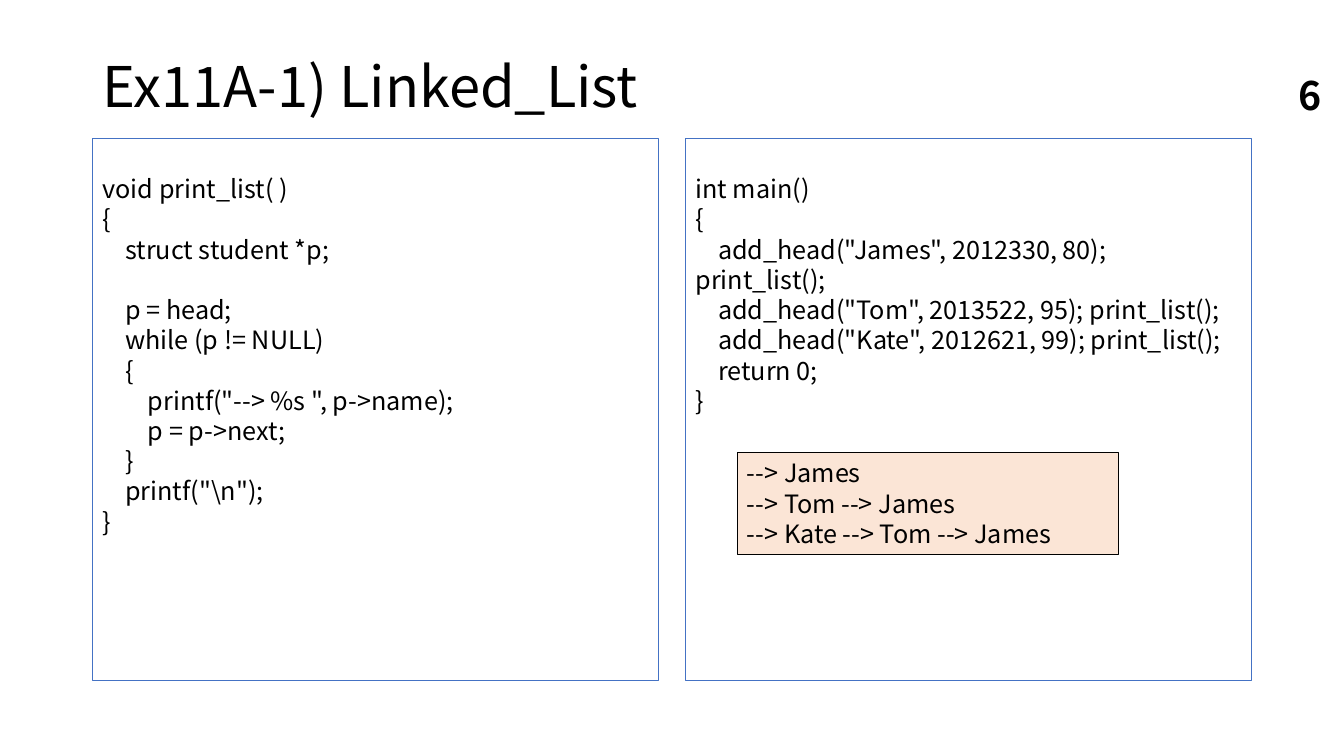
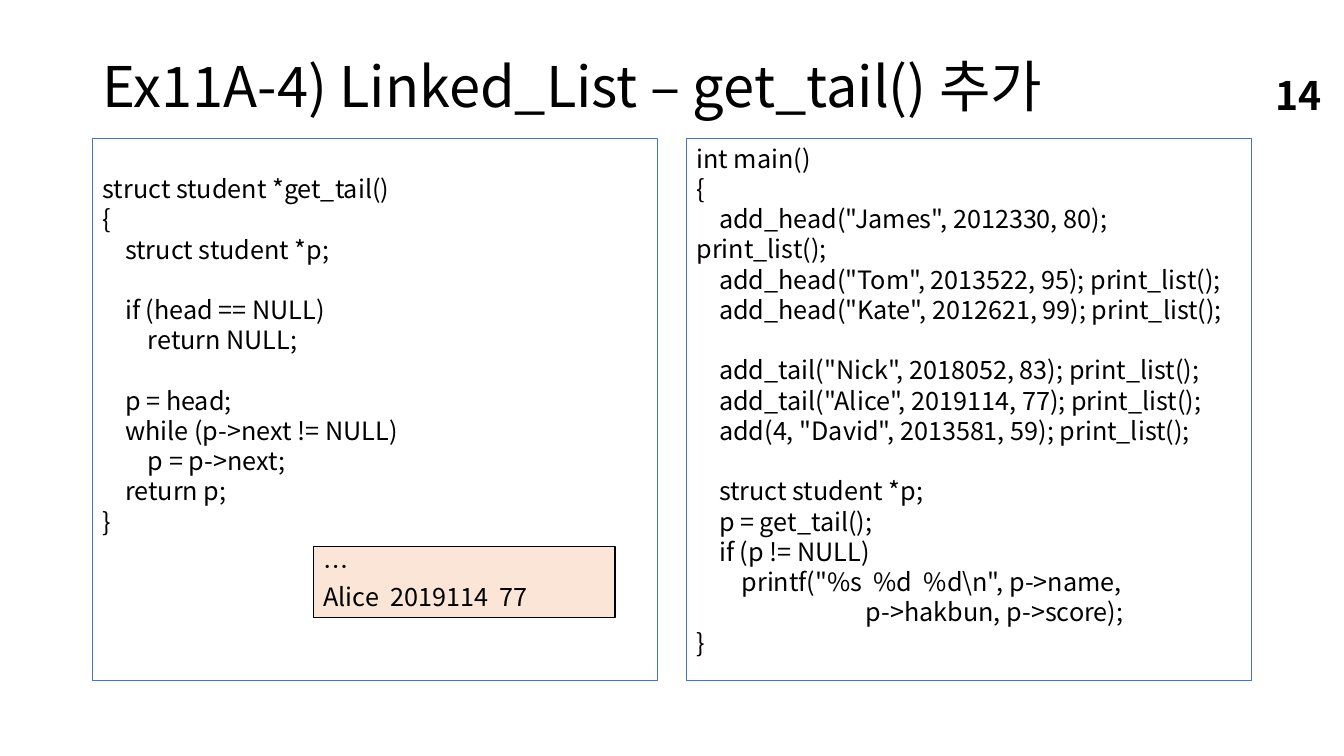
from pptx import Presentation
from pptx.dml.color import RGBColor
from pptx.enum.shapes import MSO_SHAPE
from pptx.enum.text import MSO_ANCHOR, PP_ALIGN
from pptx.util import Emu, Pt

RECTANGLE = MSO_SHAPE.RECTANGLE
TOP, MIDDLE = MSO_ANCHOR.TOP, MSO_ANCHOR.MIDDLE
LEFT, RIGHT = PP_ALIGN.LEFT, PP_ALIGN.RIGHT

PX = 9144  # 100 px to the inch
FONT = "Noto Sans CJK KR"
BLACK, BLUE, PEACH = "000000", "4472C4", "FBE5D6"
LINE_PITCH = Pt(21.6)
LINE_PX = 30
INSET_X, INSET_Y = 10, 5

# Shared layout
TITLE_BOX = (92, 40, 1150, 97)
NUMBER_BOX = (997, 74, 324, 40)
PANEL_LEFT, PANEL_RIGHT, PANEL_TOP, PANEL_HEIGHT = 92, 1241, 137, 538

TITLE_STYLE = {"size": Pt(40), "bold": False}
NUMBER_STYLE = {"size": Pt(28), "bold": True}
CODE_STYLE = {"size": Pt(18), "bold": False}

# Code and program output
MAIN_START = r'''int main()
{
    add_head("James", 2012330, 80); print_list();
    add_head("Tom", 2013522, 95); print_list();
    add_head("Kate", 2012621, 99); print_list();
'''

PRINT_LIST = r'''void print_list( )
{
    struct student *p;

    p = head;
    while (p != NULL)
    {
        printf("--> %s ", p->name);
        p = p->next;
    }
    printf("\n");
}'''

PRINT_MAIN = MAIN_START + '''    return 0;
}'''

PRINT_OUTPUT = '''--> James
--> Tom --> James
--> Kate --> Tom --> James'''

GET_TAIL = '''struct student *get_tail()
{
    struct student *p;

    if (head == NULL)
        return NULL;

    p = head;
    while (p->next != NULL)
        p = p->next;
    return p;
}'''

TAIL_MAIN = MAIN_START + r'''
    add_tail("Nick", 2018052, 83); print_list();
    add_tail("Alice", 2019114, 77); print_list();
    add(4, "David", 2013581, 59); print_list();

    struct student *p;
    p = get_tail();
    if (p != NULL)
        printf("%s  %d  %d\n", p->name,
                              p->hakbun, p->score);
}'''

TAIL_OUTPUT = '''…
Alice  2019114  77'''

# blank_top: lines left free above the code of the left and right panel
SLIDES = [
    {"title": "Ex11A-1) Linked_List", "number": "6", "panel_width": 561,
     "panels": (PRINT_LIST, PRINT_MAIN), "blank_top": (1, 1),
     "output": PRINT_OUTPUT, "output_box": (731, 449, 378, 101)},
    {"title": "Ex11A-4) Linked_List – get_tail() 추가", "number": "14",
     "panel_width": 560,
     "panels": (GET_TAIL, TAIL_MAIN), "blank_top": (1, 0),
     "output": TAIL_OUTPUT, "output_box": (311, 542, 299, 71)},
]


def px(*lengths):
    return [Emu(length * PX) for length in lengths]


def color(hex_string):
    return RGBColor.from_string(hex_string)


def write(shape, text, style, spacing, anchor=TOP, align=LEFT, blank_top=0):
    """Fill a shape with text; an empty line becomes space before the next."""
    frame = shape.text_frame
    top = INSET_Y + blank_top * LINE_PX
    left, top, right, bottom = px(INSET_X, top, INSET_X, INSET_Y)
    frame_format = {"word_wrap": True, "vertical_anchor": anchor,
                    "margin_left": left, "margin_top": top,
                    "margin_right": right, "margin_bottom": bottom}
    for name, value in frame_format.items():
        setattr(frame, name, value)

    paragraph, gap = frame.paragraphs[0], 0
    for index, line in enumerate(text.split("\n")):
        if not line:
            gap += LINE_PITCH
            continue
        if index:
            paragraph = frame.add_paragraph()
        paragraph.alignment = align
        paragraph.line_spacing = spacing
        paragraph.space_before = Emu(gap)
        gap = 0
        run = paragraph.add_run()
        run.text = line
        for name, value in {"name": FONT, **style}.items():
            setattr(run.font, name, value)
        run.font.color.rgb = color(BLACK)


def add_label(slide, box, text, style, spacing, align=LEFT):
    label = slide.shapes.add_textbox(*px(*box))
    write(label, text, style, spacing, MIDDLE, align)


def add_code_box(slide, box, text, line, fill=None, blank_top=0):
    code_box = slide.shapes.add_shape(RECTANGLE, *px(*box))
    code_box.shadow.inherit = False
    if fill:
        code_box.fill.solid()
        code_box.fill.fore_color.rgb = color(fill)
    else:
        code_box.fill.background()
    code_box.line.color.rgb = color(line)
    code_box.line.width = Pt(0.75)
    write(code_box, text, CODE_STYLE, LINE_PITCH, blank_top=blank_top)


def add_code_slide(deck, content):
    slide = deck.slides.add_slide(deck.slide_layouts[6])
    add_label(slide, TITLE_BOX, content["title"], TITLE_STYLE, 0.9)

    # Left and right code panels
    width = content["panel_width"]
    lefts = (PANEL_LEFT, PANEL_RIGHT - width)
    for left, code, blank in zip(lefts, content["panels"], content["blank_top"]):
        add_code_box(slide, (left, PANEL_TOP, width, PANEL_HEIGHT), code, BLUE,
                     blank_top=blank)

    # Program output and page number
    add_code_box(slide, content["output_box"], content["output"], BLACK, PEACH)
    add_label(slide, NUMBER_BOX, content["number"], NUMBER_STYLE, Pt(33.6), RIGHT)


def main():
    deck = Presentation()
    deck.slide_width, deck.slide_height = px(1333, 750)
    for content in SLIDES:
        add_code_slide(deck, content)
    deck.save("out.pptx")


if __name__ == "__main__":
    main()
